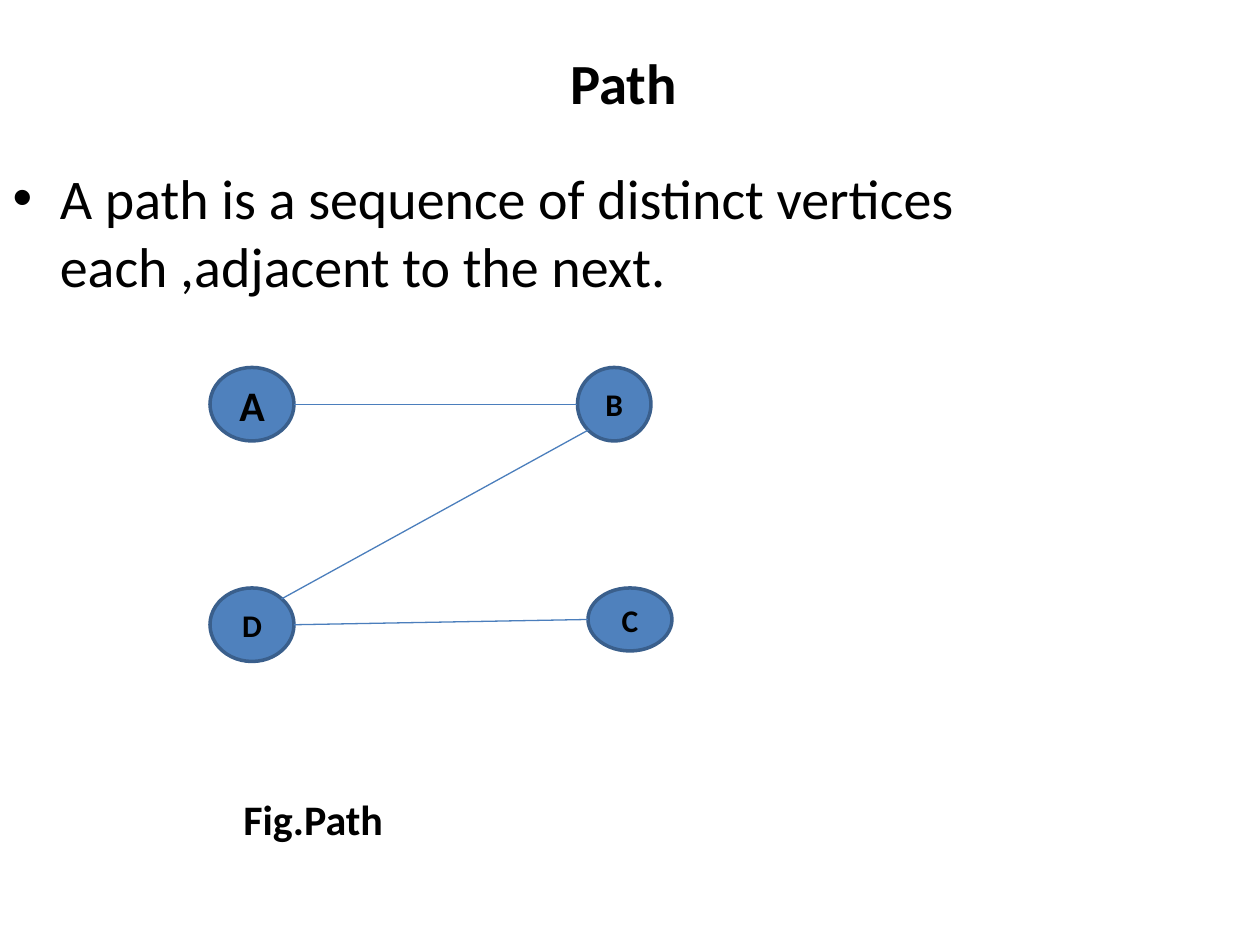
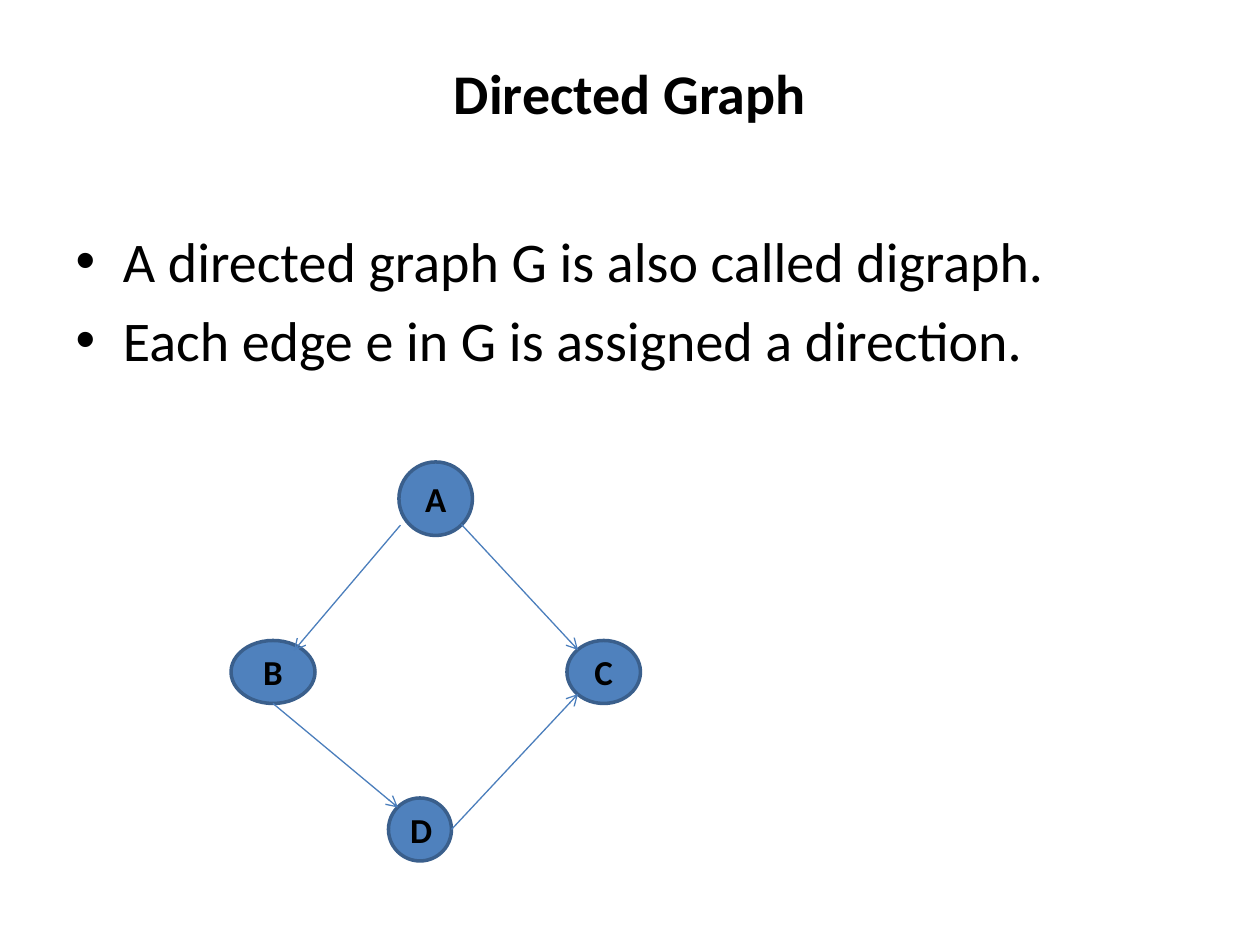
from pptx import Presentation
from pptx.dml.color import RGBColor
from pptx.enum.shapes import MSO_CONNECTOR as Connector, MSO_SHAPE as Shape
from pptx.enum.text import MSO_ANCHOR as Anchor, MSO_AUTO_SIZE as AutoSize, PP_ALIGN as Align
from pptx.oxml.ns import qn
from pptx.util import Pt
from lxml.etree import SubElement

COLORS = {"ink": "000000", "node": "4F81BD", "rim": "3A5F8C", "edge": "4B7EBC"}
FONT = "Calibri"
SITES = {
    "left": (0, 0.5), "right": (1, 0.5), "bottom": (0.5, 1),
    "top left": (0.15, 0.15), "top right": (0.85, 0.15),
    "bottom left": (0.15, 0.85), "bottom right": (0.85, 0.85),
    "outer left": (0.02, 0.86), "upper right": (0.75, 0.16),
}


def color(name):
    return RGBColor.from_string(COLORS[name])


class GraphDeck:
    def __init__(self):
        self.deck = Presentation()
        self.deck.slide_width, self.deck.slide_height = Pt(720), Pt(540)
        self.slide = None

    def new_slide(self):
        self.slide = self.deck.slides.add_slide(self.deck.slide_layouts[1])

    def place(self, holder, box):
        for side, length in zip(("left", "top", "width", "height"), box):
            setattr(holder, side, Pt(length))

    def set_words(self, paragraph, words, size, bold=True):
        paragraph.text = words
        style = {"name": FONT, "size": Pt(size), "bold": bold}
        for key, value in style.items():
            setattr(paragraph.font, key, value)
        paragraph.font.color.rgb = color("ink")

    def title(self, words, box, size=32):
        heading = self.slide.shapes.title
        self.place(heading, box)
        frame = heading.text_frame
        frame.auto_size = AutoSize.NONE
        frame.vertical_anchor = Anchor.MIDDLE
        self.set_words(frame.paragraphs[0], words, size)
        frame.paragraphs[0].alignment = Align.CENTER

    def bullets(self, statements, box):
        body = self.slide.placeholders[1]
        self.place(body, box)
        frame = body.text_frame
        frame.auto_size = AutoSize.NONE
        for index, statement in enumerate(statements):
            paragraph = frame.add_paragraph() if index else frame.paragraphs[0]
            self.set_words(paragraph, statement, 32, bold=False)
            paragraph.space_before = Pt(6.4 if index else 0)

    def vertex(self, letter, box, size):
        oval = self.slide.shapes.add_shape(Shape.OVAL, *map(Pt, box))
        oval.shadow.inherit = False
        oval.fill.solid()
        oval.fill.fore_color.rgb = color("node")
        oval.line.color.rgb = color("rim")
        oval.line.width = Pt(2)
        oval.text_frame.vertical_anchor = Anchor.MIDDLE
        paragraph = oval.text_frame.paragraphs[0]
        self.set_words(paragraph, letter, size)
        paragraph.alignment = Align.CENTER

    def edge(self, start, end, directed):
        points = []
        for (left, top, width, height), site in (start, end):
            across, down = SITES[site]
            points += [Pt(left + across * width), Pt(top + down * height)]
        link = self.slide.shapes.add_connector(Connector.STRAIGHT, *points)
        link.line.color.rgb = color("edge")
        link.line.width = Pt(0.75)
        properties = link._element.spPr
        if directed:
            SubElement(properties.find(qn("a:ln")), qn("a:tailEnd"), type="arrow")
        SubElement(properties, qn("a:effectLst"))

    def graph(self, vertices, edges, directed=False):
        for letter, (box, size) in vertices.items():
            self.vertex(letter, box, size)
        for source, source_site, target, target_site in edges:
            self.edge((vertices[source][0], source_site),
                      (vertices[target][0], target_site), directed)

    def caption(self, words, box):
        frame = self.slide.shapes.add_textbox(*map(Pt, box)).text_frame
        frame.word_wrap = True
        frame.auto_size = AutoSize.SHAPE_TO_FIT_TEXT
        self.set_words(frame.paragraphs[0], words, 24)


def path_slide(deck):
    deck.new_slide()
    deck.title("Path ", (36, 21.6, 648, 50.4), 32.4)
    deck.bullets(
        ["A path is a sequence of distinct vertices each ,adjacent to the next."],
        (0, 90, 720, 324))
    deck.graph(
        {"A": ((120, 210, 48, 42), 24), "B": ((330, 210, 42, 42), 18),
         "D": ((120, 336, 48, 42), 18), "C": ((336, 336, 48, 36), 18)},
        [("A", "right", "B", "left"),
         ("B", "bottom left", "D", "top right"),
         ("D", "right", "C", "left")])
    deck.caption("Fig.Path", (132, 450, 150, 36))


def directed_graph_slide(deck):
    deck.new_slide()
    deck.title("Directed Graph", (36, 21.6, 648, 62.4))
    deck.bullets(
        ["A directed graph G is also called digraph.",
         "Each edge e in G is assigned a direction."],
        (36, 126, 648, 356.4))
    deck.graph(
        {"A": ((228, 264, 42, 42), 20), "B": ((132, 366, 48, 36), 20),
         "C": ((324, 366, 42, 36), 20), "D": ((222, 456, 36, 36), 20)},
        [("A", "outer left", "B", "upper right"),
         ("A", "bottom right", "C", "top left"),
         ("D", "right", "C", "bottom left"),
         ("B", "bottom", "D", "top left")],
        directed=True)


def main():
    deck = GraphDeck()
    path_slide(deck)
    directed_graph_slide(deck)
    deck.deck.save("out.pptx")


if __name__ == "__main__":
    main()
